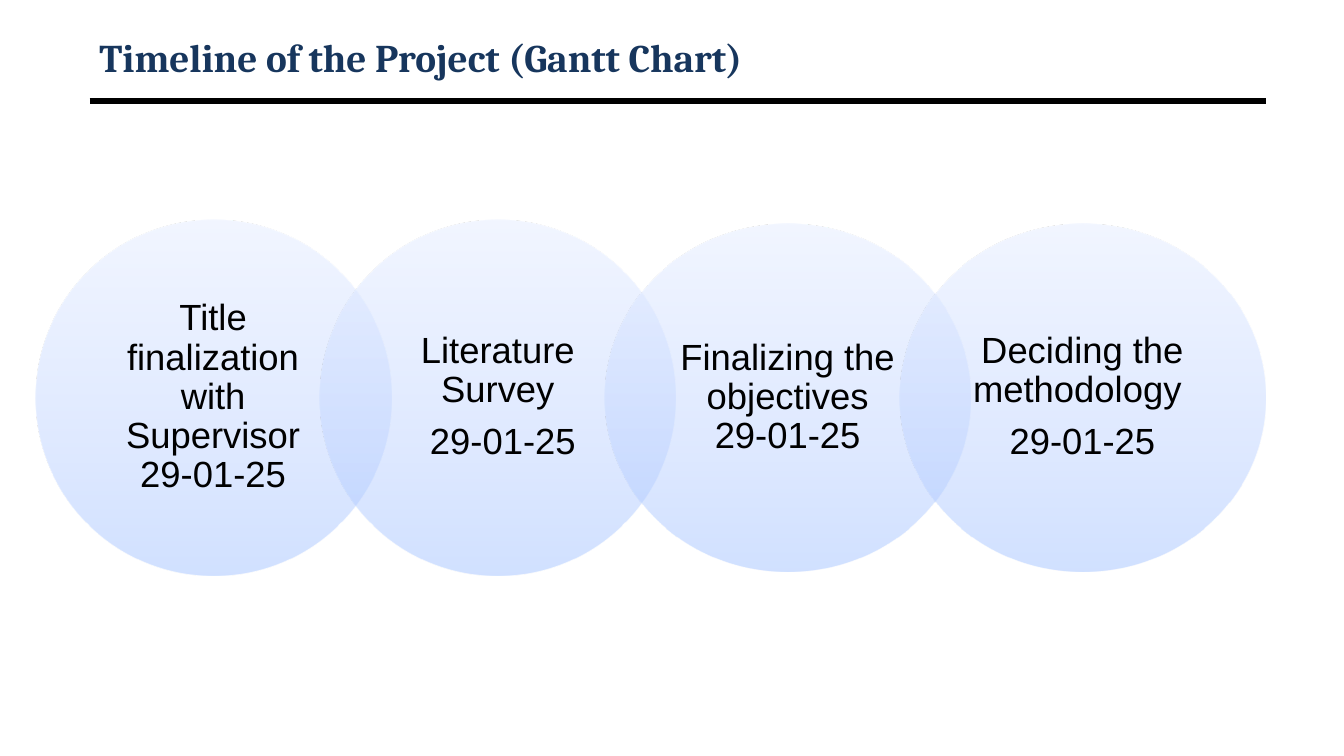
import dataclasses

import lxml.etree
import pptx
import pptx.dml.color
import pptx.enum.shapes
import pptx.enum.text
import pptx.oxml
import pptx.oxml.ns
import pptx.slide
import pptx.text.text
import pptx.util

Pt = pptx.util.Pt
qn = pptx.oxml.ns.qn

MARGIN_LEFT, MARGIN_RIGHT = 64, 904.3
MILESTONES_LEFT, MILESTONES_MIDDLE, OVERLAP = 25.2, 284, 50.8
GRADIENT = ((0, "A4C4FF"), (35, "BFD4FF"), (100, "E6EEFF"))


@dataclasses.dataclass
class Milestone:
    text: str
    width: float
    height: float


MILESTONES = (
    Milestone("Title finalization with Supervisor 29-01-25", 254.2, 254.2),
    Milestone("Literature Survey\n 29-01-25", 254.2, 254.2),
    Milestone("Finalizing the objectives 29-01-25", 261.4, 249.1),
    Milestone("Deciding the methodology \n29-01-25", 261.4, 249.1),
)


def color(value: str) -> pptx.dml.color.RGBColor:
    return pptx.dml.color.RGBColor.from_string(value)


def style_font(font: pptx.text.text.Font, name: str, size: float, value: str) -> None:
    font.name = name
    font.size = Pt(size)
    font.color.rgb = color(value)


def set_insets(frame: pptx.text.text.TextFrame, side: float, end: float) -> None:
    frame.margin_left = frame.margin_right = Pt(side)
    frame.margin_top = frame.margin_bottom = Pt(end)
    frame.word_wrap = True
    frame.vertical_anchor = pptx.enum.text.MSO_ANCHOR.MIDDLE


def gradient_fill() -> lxml.etree.ElementBase:
    stops = "".join(
        f'<a:gs pos="{position * 1000}"><a:srgbClr val="{value}">'
        '<a:alpha val="50000"/></a:srgbClr></a:gs>'
        for position, value in GRADIENT
    )
    return pptx.oxml.parse_xml(
        f'<a:gradFill {pptx.oxml.ns.nsdecls("a")} rotWithShape="1">'
        f'<a:gsLst>{stops}</a:gsLst><a:lin ang="16200000" scaled="0"/></a:gradFill>'
    )


def draw_header(slide: pptx.slide.Slide) -> None:
    rule = slide.shapes.add_connector(
        pptx.enum.shapes.MSO_CONNECTOR.STRAIGHT,
        Pt(MARGIN_LEFT), Pt(72), Pt(MARGIN_RIGHT), Pt(72),
    )
    rule.line.color.rgb = color("000000")
    rule.line.width = Pt(4.5)
    lxml.etree.SubElement(rule._element.spPr, qn("a:effectLst"))

    title = slide.shapes.add_textbox(
        Pt(MARGIN_LEFT), Pt(21.6), Pt(MARGIN_RIGHT - MARGIN_LEFT), Pt(38.2)
    ).text_frame
    set_insets(title, 7.2, 3.6)
    title.text = "Timeline of the Project (Gantt Chart)"
    font = title.paragraphs[0].runs[0].font
    style_font(font, "Cambria", 28, "17365D")
    font.bold = True


def draw_milestone(slide: pptx.slide.Slide, milestone: Milestone, left: float) -> None:
    circle = slide.shapes.add_shape(
        pptx.enum.shapes.MSO_SHAPE.OVAL,
        Pt(left), Pt(MILESTONES_MIDDLE - milestone.height / 2),
        Pt(milestone.width), Pt(milestone.height),
    )
    circle.shadow.inherit = False
    circle.line.fill.background()
    circle._element.spPr.find(qn("a:prstGeom")).addnext(gradient_fill())

    frame = circle.text_frame
    set_insets(frame, 13.7, 2.9)
    frame.text = milestone.text
    for paragraph in frame.paragraphs:
        paragraph.alignment = pptx.enum.text.PP_ALIGN.CENTER
        paragraph.line_spacing = 0.9
        paragraph.space_after = Pt(9.1)
        for run in paragraph.runs:
            style_font(run.font, "Arial", 26, "000000")


def main() -> None:
    presentation = pptx.Presentation()
    presentation.slide_width = Pt(960)
    presentation.slide_height = Pt(540)
    slide = presentation.slides.add_slide(presentation.slide_layouts[6])
    draw_header(slide)
    left = MILESTONES_LEFT
    for milestone in MILESTONES:
        draw_milestone(slide, milestone, left)
        left += milestone.width - OVERLAP
    presentation.save("out.pptx")


if __name__ == "__main__":
    main()
